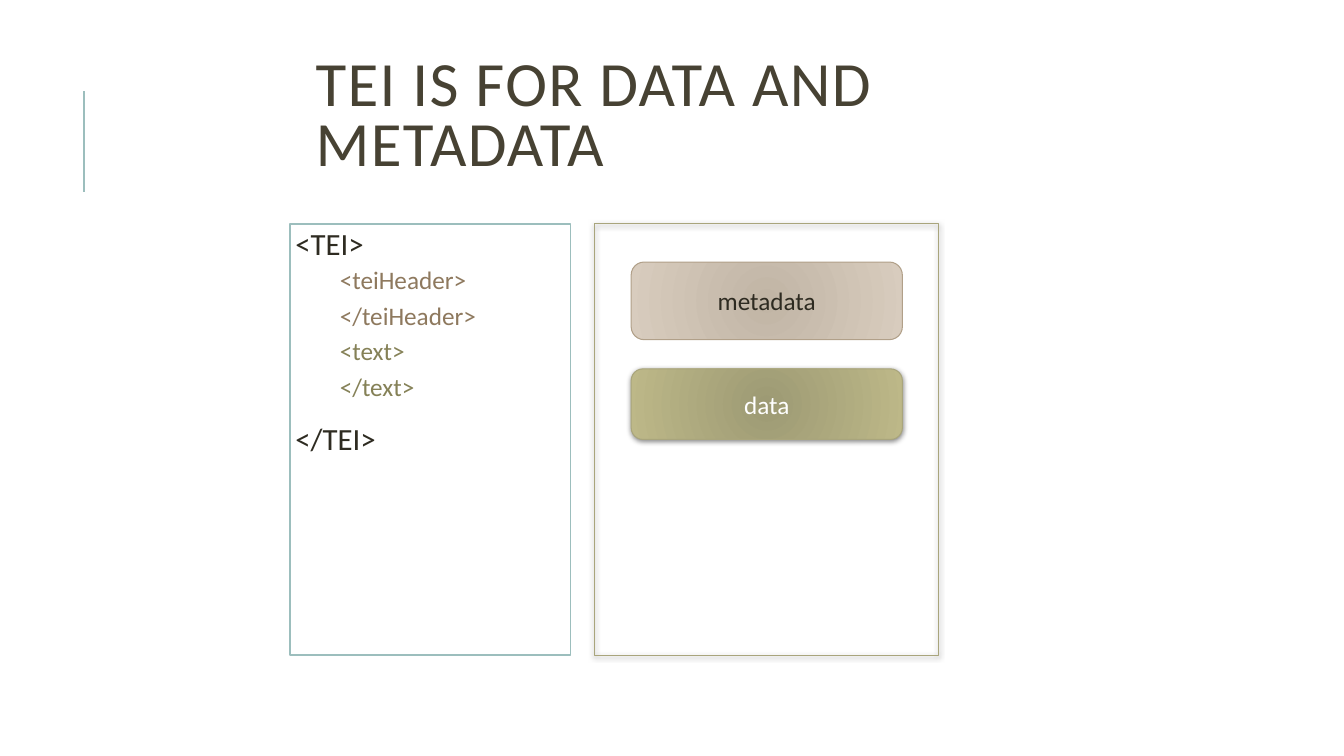
"""Build the slide on TEI as a format for data and metadata."""
from lxml import etree
from pptx import Presentation
from pptx.dml.color import RGBColor
from pptx.enum import shapes, text
from pptx.oxml import parse_xml
from pptx.oxml.ns import nsdecls, qn
from pptx.util import Inches, Pt

COLORS = {
    "title": "474233", "ink": "2E2B21", "white": "FFFFFF", "teal": "9CBEBD",
    "header": "8E795E", "text": "858157", "olive": "A9A57C", "tan": "B1A089",
    "tan_in": "C1B5A5", "tan_out": "D8CCBE", "olive_in": "9D9A74", "olive_out": "BDB888",
}
SHADOW = (f'<a:outerShdw {nsdecls("a")} blurRad="50800" dist="12700" dir="5400000" rotWithShape="0">'
          '<a:srgbClr val="000000"><a:alpha val="50000"/></a:srgbClr></a:outerShdw>')
CENTRE = (f'<a:path {nsdecls("a")} path="circle">'
          '<a:fillToRect l="100000" t="100000" r="100000" b="100000"/></a:path>')


def add_run(p, words, size, color):
    r = p.add_run()
    r.text = words
    r.font.name = "Calibri"
    r.font.size = Pt(size)
    r.font.color.rgb = RGBColor.from_string(COLORS[color])
    return r


def add_box(s, kind, box, line, width, shadow=False):
    sp = s.shapes.add_shape(kind, *map(Inches, box))
    sp.line.color.rgb = RGBColor.from_string(COLORS[line])
    sp.line.width = Pt(width)
    sp.shadow.inherit = False
    if shadow:
        sp._element.spPr.find(qn("a:effectLst")).append(parse_xml(SHADOW))
    return sp


prs = Presentation()
prs.slide_width, prs.slide_height = Inches(13.33), Inches(7.5)
s = prs.slides.add_slide(prs.slide_layouts[5])

rule = s.shapes.add_connector(shapes.MSO_CONNECTOR.STRAIGHT,
                              Inches(0.83), Inches(1.9), Inches(0.83), Inches(0.9))
rule.line.color.rgb = RGBColor.from_string(COLORS["teal"])
rule.line.width = Pt(1.5)
etree.SubElement(rule._element.spPr, qn("a:effectLst"))

title = s.shapes.title
title.left, title.top, title.width, title.height = map(Inches, (3.03, 0.55, 6.85, 1.25))
tf = title.text_frame
tf.word_wrap = True
tf.auto_size = text.MSO_AUTO_SIZE.NONE
tf.vertical_anchor = text.MSO_ANCHOR.MIDDLE
p = tf.paragraphs[0]
p.alignment = text.PP_ALIGN.LEFT
p.line_spacing = 0.8
r = add_run(p, "TEI IS FOR DATA AND METADATA", 45, "title")
r.font._element.set("spc", "100")

code = add_box(s, shapes.MSO_SHAPE.RECTANGLE, (2.88, 2.22, 2.78, 4.28), "teal", 1.25)
code.fill.solid()
code.fill.fore_color.rgb = RGBColor.from_string(COLORS["white"])
tf = code.text_frame
tf.word_wrap = True
tf.vertical_anchor = text.MSO_ANCHOR.TOP
tf.margin_left = tf.margin_top = tf.margin_right = tf.margin_bottom = Inches(0.05)
tags = [("<TEI>", 0, "ink"), ("<teiHeader>", 1, "header"), ("</teiHeader>", 1, "header"),
        ("<text>", 1, "text"), ("</text>", 1, "text"), ("</TEI>", 0, "ink")]
for i, (tag, level, color) in enumerate(tags):
    p = tf.add_paragraph() if i else tf.paragraphs[0]
    p.level = level
    p.alignment = text.PP_ALIGN.LEFT
    p.line_spacing = 0.9
    p.space_before = Pt((2 if level else 12) if i else 0)
    p.space_after = Pt(4 if level else 2)
    pPr = p._p.get_or_add_pPr()
    pPr.set("marL", str(Inches(0.44 * level)))
    pPr.set("indent", "0")
    add_run(p, tag, 18 if level else 22, color)

parts = [("metadata", 2.6, 0.77, "tan", "ink", False), ("data", 3.66, 0.7, "olive", "white", True)]
for label, top, height, tone, ink, shadow in parts:
    sp = add_box(s, shapes.MSO_SHAPE.ROUNDED_RECTANGLE, (6.26, top, 2.69, height), tone, 0.75, shadow)
    sp.fill.gradient()
    for stop, end in zip(sp.fill.gradient_stops, ("in", "out")):
        stop.color.rgb = RGBColor.from_string(COLORS[f"{tone}_{end}"])
    grad = sp._element.spPr.find(qn("a:gradFill"))
    grad.replace(grad.find(qn("a:lin")), parse_xml(CENTRE))
    tf = sp.text_frame
    tf.word_wrap = True
    tf.vertical_anchor = text.MSO_ANCHOR.MIDDLE
    p = tf.paragraphs[0]
    p.alignment = text.PP_ALIGN.CENTER
    add_run(p, label, 18, ink)

frame = add_box(s, shapes.MSO_SHAPE.RECTANGLE, (5.9, 2.22, 3.41, 4.28), "olive", 0.75, True)
frame.fill.background()

prs.save("out.pptx")
